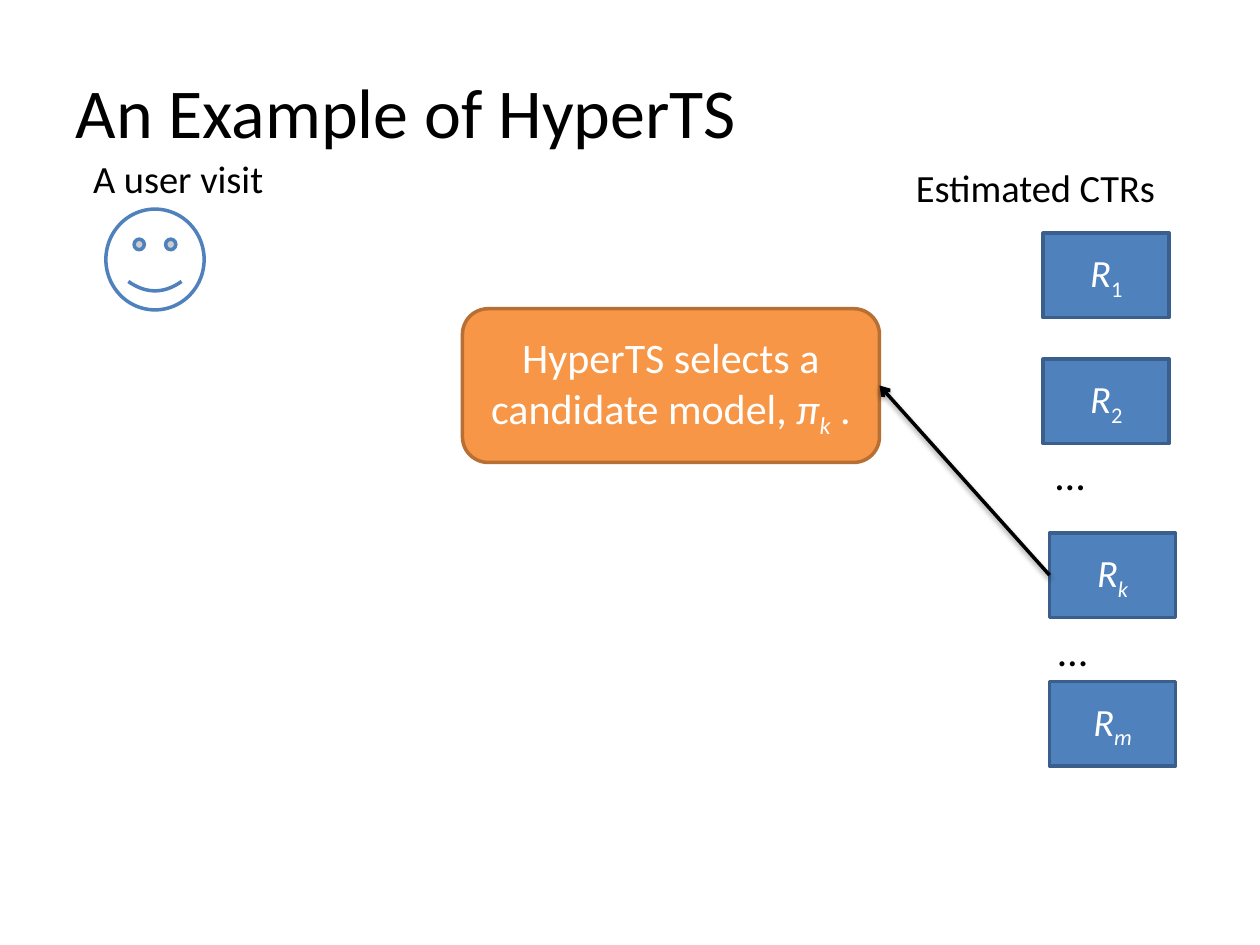
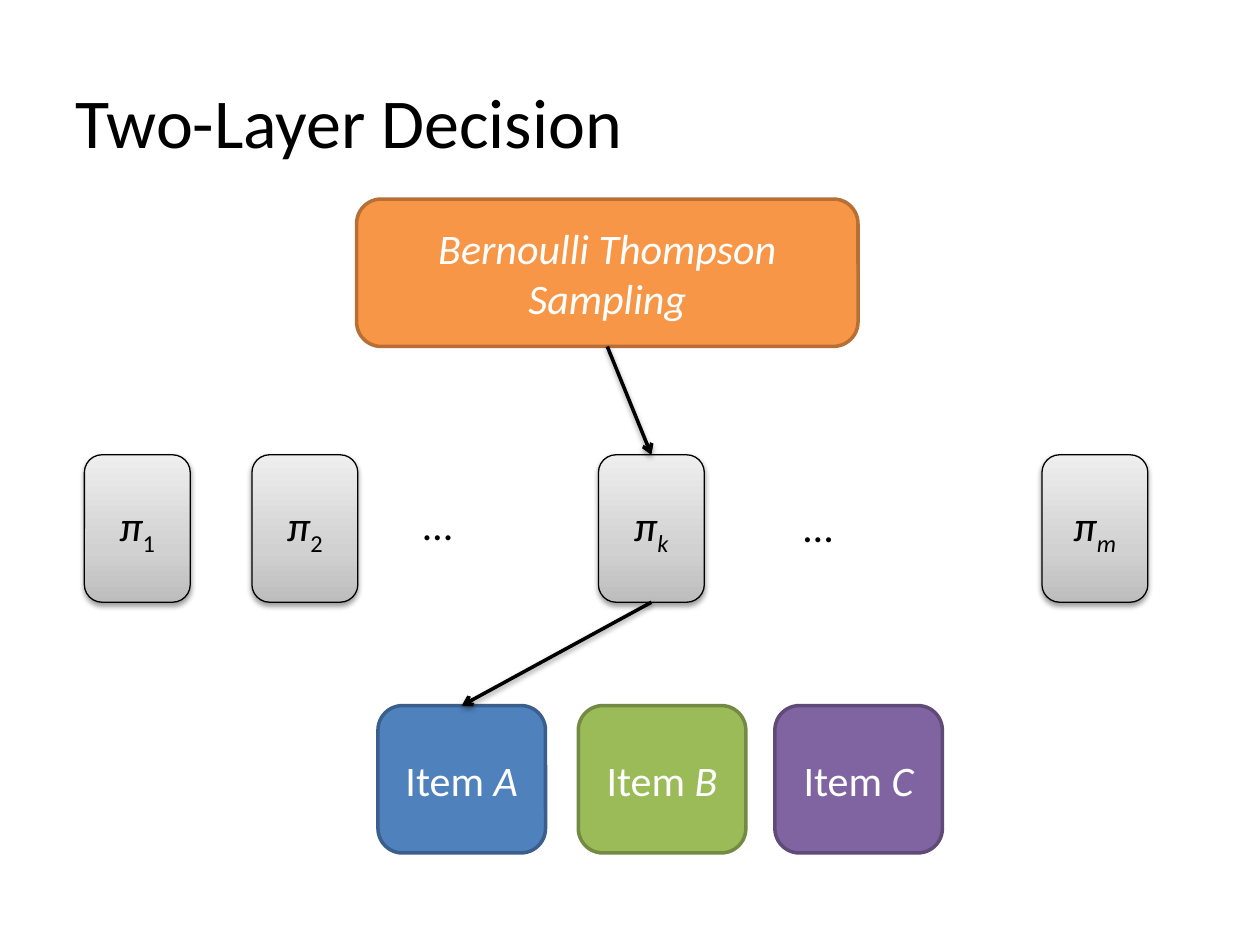
from copy import deepcopy

from lxml.etree import SubElement
from pptx import Presentation
from pptx.dml.color import RGBColor
from pptx.enum.shapes import MSO_CONNECTOR, MSO_SHAPE
from pptx.enum.text import MSO_ANCHOR, PP_ALIGN
from pptx.oxml.ns import qn
from pptx.util import Inches, Pt

# Colours: each box has a fill and a darker edge
BLACK = RGBColor(0x00, 0x00, 0x00)
WHITE = RGBColor(0xFF, 0xFF, 0xFF)
BLUE = RGBColor(0x4F, 0x81, 0xBD)
NAVY = RGBColor(0x3A, 0x5F, 0x8C)
ORANGE = RGBColor(0xF7, 0x96, 0x46)
BROWN = RGBColor(0xB7, 0x6F, 0x34)
GREEN = RGBColor(0x9B, 0xBB, 0x59)
MOSS = RGBColor(0x73, 0x8A, 0x42)
PURPLE = RGBColor(0x80, 0x64, 0xA2)
PLUM = RGBColor(0x5F, 0x4A, 0x78)
GREYS = (
    (0, RGBColor(0xBD, 0xBD, 0xBD)),
    (0.35, RGBColor(0xD1, 0xD1, 0xD1)),
    (1, RGBColor(0xEE, 0xEE, 0xEE)),
)

FONT = "Calibri"
COLS, ROWS = 100, 75
TOP, LEFT, BOTTOM, RIGHT = range(4)
ROUND = MSO_SHAPE.FLOWCHART_ALTERNATE_PROCESS
BLOCK = MSO_SHAPE.FLOWCHART_PROCESS


class Deck:
    """Holds the style and the current slide; lengths are grid columns and rows."""

    def __init__(self):
        self.prs = Presentation()
        self.prs.slide_width, self.prs.slide_height = Inches(10), Inches(7.5)
        self.slide = None

    def grid(self, left, top, wide, high):
        col, row = self.prs.slide_width / COLS, self.prs.slide_height / ROWS
        return [round(n) for n in (left * col, top * row, wide * col, high * row)]

    def page(self, title, top):
        self.slide = self.prs.slides.add_slide(self.prs.slide_layouts[5])
        head = self.slide.shapes.title
        head.left, head.top, head.width, head.height = self.grid(5, top, 74.2, 12.5)
        self.words(head, [(title, "")], 40, BLACK, PP_ALIGN.LEFT)

    def words(self, shape, parts, size, color, align):
        """Each part is a text and its marks: i for italic, s for subscript."""
        frame = shape.text_frame
        frame.vertical_anchor = MSO_ANCHOR.MIDDLE
        para = frame.paragraphs[0]
        para.alignment = align
        for text, marks in parts:
            run = para.add_run()
            run.text = text
            font = run.font
            font.name, font.size = FONT, Pt(size)
            font.color.rgb = color
            font.italic = "i" in marks
            if "s" in marks:
                font._element.set("baseline", "-25000")

    def shape(self, kind, spot, fill, edge, weight=2):
        item = self.slide.shapes.add_shape(kind, *self.grid(*spot))
        item.shadow.inherit = False
        if fill is GREYS:
            self.fade(item)
        else:
            item.fill.solid()
            item.fill.fore_color.rgb = fill
        item.line.color.rgb = edge
        item.line.width = Pt(weight)
        return item

    def box(self, spot, parts, fill, edge, size=24, kind=ROUND):
        item = self.shape(kind, spot, fill, edge)
        item.text_frame.word_wrap = True
        self.words(item, parts, size, WHITE, PP_ALIGN.CENTER)
        return item

    def card(self, spot, parts):
        item = self.shape(ROUND, spot, GREYS, BLACK, 0.75)
        self.cast(item)
        self.words(item, parts, 24, BLACK, PP_ALIGN.CENTER)
        return item

    def label(self, spot, text, size=22, wrap=True):
        item = self.slide.shapes.add_textbox(*self.grid(*spot))
        item.text_frame.word_wrap = wrap
        self.words(item, [(text, "")], size, BLACK, PP_ALIGN.LEFT)

    def dots(self, left, top):
        self.label((left, top, 10.7, 5), "…", 24)

    def arrow(self, start, side, end, face):
        line = self.slide.shapes.add_connector(MSO_CONNECTOR.STRAIGHT, 0, 0, 0, 0)
        line.begin_connect(start, side)
        line.end_connect(end, face)
        line.line.color.rgb = BLACK
        line.line.width = Pt(2)
        edge = line._element.spPr.find(qn("a:ln"))
        SubElement(edge, qn("a:tailEnd"), type="arrow")
        self.cast(line)

    def fade(self, item):
        item.fill.gradient()
        item.fill.gradient_angle = 90
        stops = item._element.spPr.find(".//" + qn("a:gsLst"))
        stops.append(deepcopy(stops[0]))
        for stop, (place, tone) in zip(item.fill.gradient_stops, GREYS):
            stop.position = place
            stop.color.rgb = tone

    def cast(self, item):
        """Adds a soft shadow below the item."""
        props = item._element.spPr
        glow = props.find(qn("a:effectLst"))
        if glow is None:
            glow = SubElement(props, qn("a:effectLst"))
        drop = SubElement(glow, qn("a:outerShdw"), blurRad="40000",
                          dist="20000", dir="5400000", rotWithShape="0")
        tint = SubElement(drop, qn("a:srgbClr"), val=str(BLACK))
        SubElement(tint, qn("a:alpha"), val="38000")


def sub(name, mark):
    """An italic symbol with a subscript, upright for digits."""
    return [(name, "i"), (mark, "s" if mark.isdigit() else "is")]


def example(deck):
    deck.page("An Example of HyperTS", 2.5)

    # User
    deck.shape(MSO_SHAPE.SMILEY_FACE, (8.4, 16.6, 7.8, 8), WHITE, BLUE)
    deck.label((6.4, 11.8, 16.1, 4.7), "A user visit", wrap=False)

    # Choice of model
    pick = deck.box(
        (36.7, 24.5, 33.1, 12.2),
        [("HyperTS selects a candidate model, ", ""), *sub("π", "k"), (" .", "")],
        ORANGE, BROWN)

    # Estimated rates
    deck.label((71.7, 12.5, 21.7, 4.7), "Estimated CTRs")
    rates = {}
    for mark, left, top in (("1", 82.8, 18.5), ("2", 82.8, 28.5),
                            ("k", 83.3, 42.3), ("m", 83.3, 54.1)):
        rates[mark] = deck.box((left, top, 10, 6.7), sub("R", mark),
                               BLUE, NAVY, 22, BLOCK)
    deck.dots(82.8, 35.1)
    deck.dots(83, 49.1)
    deck.arrow(rates["k"], LEFT, pick, RIGHT)


def layers(deck):
    deck.page("Two-Layer Decision", 3.3)
    high = 11.7

    # First layer: sampling picks a model
    root = deck.box((28.3, 15.8, 39.8, high),
                    [("Bernoulli Thompson Sampling", "i")], ORANGE, BROWN)
    cards = {}
    for mark, left in (("1", 6.7), ("2", 20), ("k", 47.5), ("m", 82.7)):
        cards[mark] = deck.card((left, 36.1, 8.4, high), sub("π", mark))
    deck.dots(32.6, 39.1)
    deck.dots(62.8, 39.2)

    # Second layer: the model picks an item
    items = [
        deck.box((left, 56, 13.3, high), [("Item ", ""), (name, "i")], fill, edge)
        for name, left, fill, edge in (("A", 30, BLUE, NAVY),
                                       ("B", 45.9, GREEN, MOSS),
                                       ("C", 61.5, PURPLE, PLUM))
    ]
    deck.arrow(root, BOTTOM, cards["k"], TOP)
    deck.arrow(cards["k"], BOTTOM, items[0], TOP)


def main():
    deck = Deck()
    example(deck)
    layers(deck)
    deck.prs.save("out.pptx")


if __name__ == "__main__":
    main()
